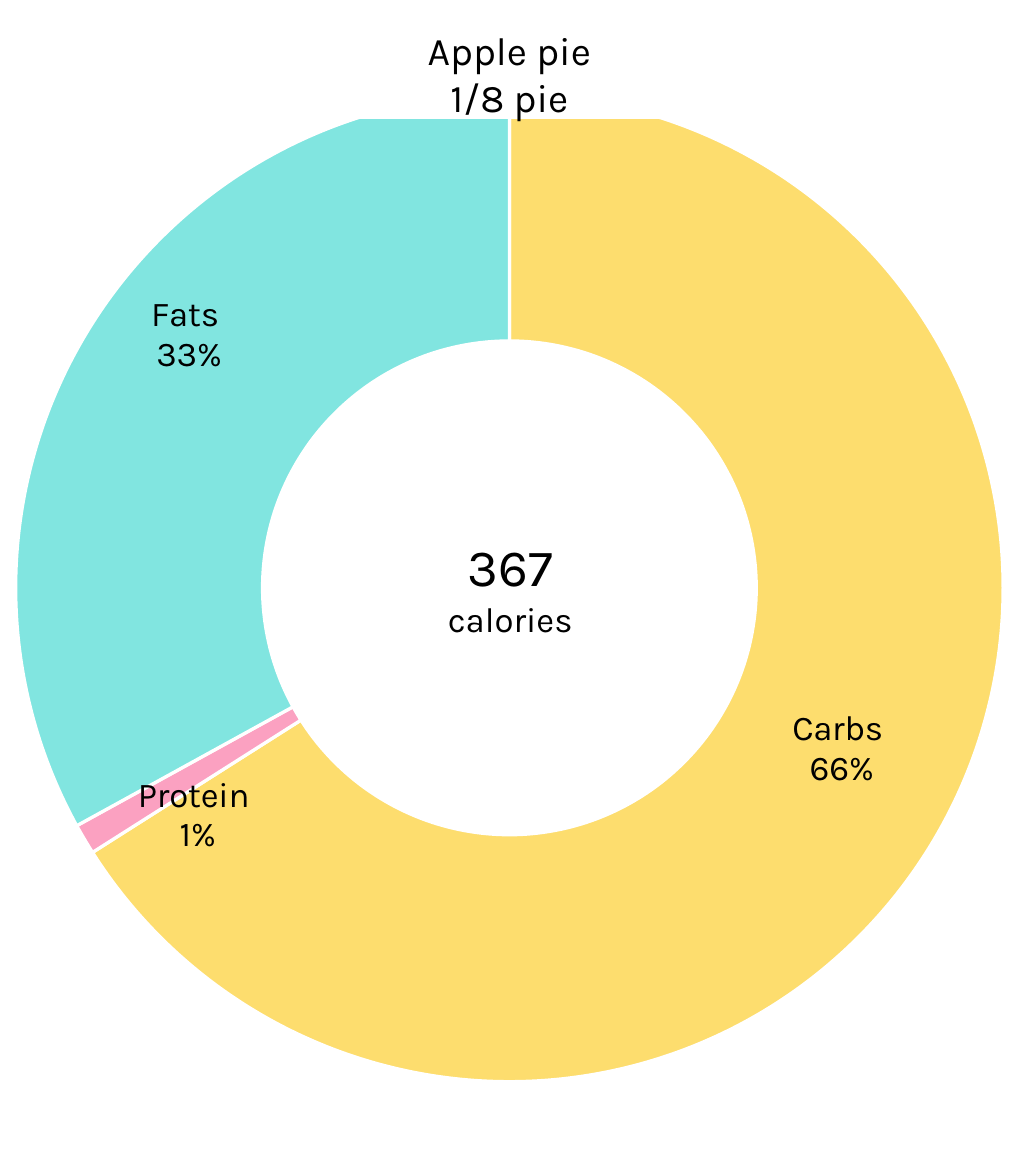
from collections import namedtuple

from lxml.etree import SubElement
from pptx import Presentation
from pptx.chart.data import CategoryChartData
from pptx.dml.color import RGBColor
from pptx.enum.chart import XL_CHART_TYPE
from pptx.enum.shapes import MSO_SHAPE
from pptx.enum.text import MSO_ANCHOR, MSO_AUTO_SIZE, PP_ALIGN
from pptx.oxml.ns import qn
from pptx.util import Pt

EMU_PER_PX = 9144
BLACK = RGBColor(0x00, 0x00, 0x00)
WHITE = RGBColor(0xFF, 0xFF, 0xFF)
YELLOW = RGBColor(0xFD, 0xDD, 0x6E)
PINK = RGBColor(0xFB, 0xA1, 0xC1)
TURQUOISE = RGBColor(0x81, 0xE5, 0xE0)
FONT = "Karla"
CHART_FONT = "Calibri"

Box = namedtuple("Box", "left top width height")
Nutrient = namedtuple("Nutrient", "name share color label_lines label_shift")

SLIDE = Box(0, 0, 650, 750)
RING_DIAMETER = 630
NUTRIENTS = [
    Nutrient("Carbs", 0.66, YELLOW, ("Carbs ", "66%"), (5, -11)),
    Nutrient("Protein", 0.01, PINK, ("Protein", " 1%"), (2, 25)),
    Nutrient("Fats", 0.33, TURQUOISE, ("Fats ", "33%"), (-1, -41)),
]


def px(length):
    """Turn pixels into EMU."""
    return length * EMU_PER_PX


def place(box):
    """Turn a pixel box into EMU arguments."""
    return [px(length) for length in box]


def format_font(font, name, size):
    """Give a font its name and size in black."""
    font.name = name
    font.size = Pt(size)
    font.color.rgb = BLACK


def write_line(paragraph, text, size):
    """Write one centred line of text."""
    paragraph.alignment = PP_ALIGN.CENTER
    run = paragraph.add_run()
    run.text = text
    format_font(run.font, FONT, size)


def write_lines(text_frame, lines):
    """Write (text, size) pairs, one paragraph each."""
    for index, (text, size) in enumerate(lines):
        paragraph = text_frame.add_paragraph() if index else text_frame.paragraphs[0]
        write_line(paragraph, text, size)


def set_layout(parent, position, **settings):
    """Give a chart part a manual layout."""
    for old in parent.findall(qn("c:layout")):
        parent.remove(old)
    layout = SubElement(parent, qn("c:layout"))
    parent.insert(position, layout)
    manual = SubElement(layout, qn("c:manualLayout"))
    for name, value in settings.items():
        SubElement(manual, qn(f"c:{name}")).set("val", str(value))


def format_labels(series, box):
    """Show name and share on each segment, shifted within the chart box."""
    data_labels = series.data_labels
    data_labels.show_value = True
    data_labels.show_category_name = True
    data_labels.number_format = "0%"
    data_labels.number_format_is_linked = False
    format_font(data_labels.font, CHART_FONT, 12)
    for index, nutrient in enumerate(NUTRIENTS):
        write_lines(series.points[index].data_label.text_frame,
                    [(line, 16) for line in nutrient.label_lines])
    labels = data_labels._element.findall(qn("c:dLbl"))
    for label, nutrient in zip(labels, NUTRIENTS):
        label.find(qn("c:showCatName")).set("val", "1")
        shift_x, shift_y = nutrient.label_shift
        set_layout(label, 1, x=round(shift_x / box.width, 4),
                   y=round(shift_y / box.height, 4))


def add_ring(slide, box):
    """Draw the doughnut of nutrient shares, centred in the box."""
    data = CategoryChartData(number_format="0%")
    data.categories = [nutrient.name for nutrient in NUTRIENTS]
    data.add_series("Series 1", [nutrient.share for nutrient in NUTRIENTS])
    chart = slide.shapes.add_chart(XL_CHART_TYPE.DOUGHNUT, *place(box), data).chart
    chart.has_legend = False
    chart.has_title = False
    format_font(chart.font, CHART_FONT, 10)
    plot = chart.plots[0]
    plot.vary_by_categories = True
    width = RING_DIAMETER / box.width
    height = RING_DIAMETER / box.height
    plot_area = chart.element.find(".//" + qn("c:plotArea"))
    set_layout(plot_area, 0, layoutTarget="inner", xMode="edge", yMode="edge",
               x=round((1 - width) / 2, 4), y=round((1 - height) / 2, 4),
               w=round(width, 4), h=round(height, 4))
    series = plot.series[0]
    for index, nutrient in enumerate(NUTRIENTS):
        segment = series.points[index].format
        segment.fill.solid()
        segment.fill.fore_color.rgb = nutrient.color
        segment.line.color.rgb = WHITE
        segment.line.width = Pt(1.5)
    format_labels(series, box)


def add_calories(slide, box):
    """Write the calorie count in the hole of the ring."""
    text_frame = slide.shapes.add_textbox(*place(box)).text_frame
    text_frame.word_wrap = False
    text_frame.auto_size = MSO_AUTO_SIZE.SHAPE_TO_FIT_TEXT
    write_lines(text_frame, [("367", 24), ("calories", 16)])


def add_title(slide, box):
    """Draw the white title panel over the top of the ring."""
    shape = slide.shapes.add_shape(MSO_SHAPE.RECTANGLE, *place(box))
    shape.shadow.inherit = False
    shape.fill.solid()
    shape.fill.fore_color.rgb = WHITE
    shape.line.color.rgb = WHITE
    shape.line.width = Pt(1)
    shape.text_frame.word_wrap = True
    shape.text_frame.vertical_anchor = MSO_ANCHOR.MIDDLE
    write_lines(shape.text_frame, [("Apple pie", 18), ("1/8 pie", 18)])


def add_nutrition_slide(presentation, box):
    """Build the nutrition slide inside the box."""
    slide = presentation.slides.add_slide(presentation.slide_layouts[6])
    add_ring(slide, Box(box.left - 4, box.top, box.width + 8, box.height))
    add_calories(slide, Box(box.left + 269, box.top + 336, 113, 77))
    add_title(slide, Box(box.left + 150, box.top + 19, box.width - 300, 56))


def main():
    """Build and save the presentation."""
    presentation = Presentation()
    presentation.slide_width = px(SLIDE.width)
    presentation.slide_height = px(SLIDE.height)
    add_nutrition_slide(presentation, SLIDE)
    presentation.save("out.pptx")


if __name__ == "__main__":
    main()
